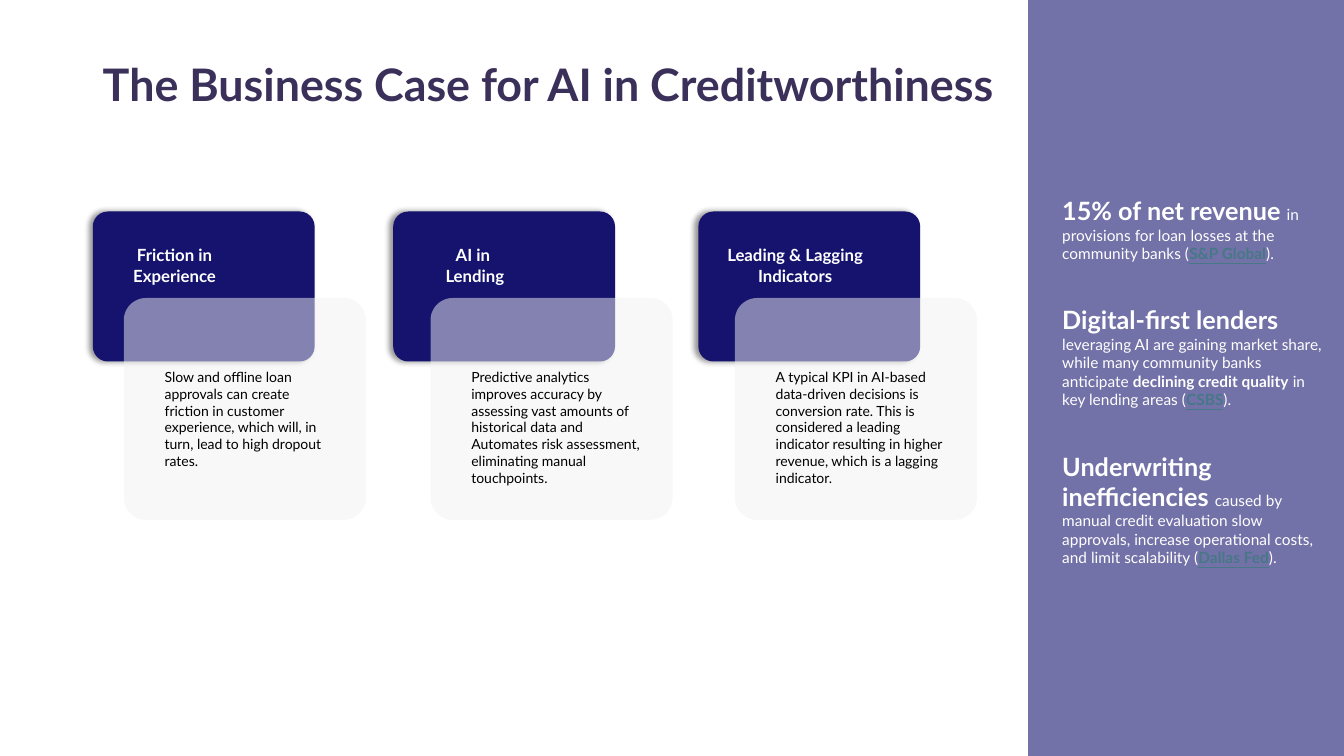
from dataclasses import dataclass

from pptx import Presentation
from pptx.dml.color import RGBColor
from pptx.enum import shapes, text
from pptx.oxml import parse_xml
from pptx.oxml.ns import nsdecls, qn
from pptx.util import Cm, Pt


@dataclass(frozen=True)
class Theme:
    font: str = "Lato"
    title: str = "3B3059"
    navy: str = "15136E"
    panel: str = "F2F2F2"
    white: str = "FFFFFF"
    black: str = "000000"
    link: str = "467886"
    title_size: int = 32
    lead_size: int = 18
    heading_size: int = 12
    note_size: int = 11
    body_size: int = 10


THEME = Theme()

CARDS = [
    (2.34, 3.12, 3.56, ["Friction in Experience"],
     "Slow and offline loan approvals can create friction in customer experience, "
     "which will, in turn, lead to high dropout rates."),
    (9.91, 10.85, 3.56, ["AI in ", "Lending"],
     "Predictive analytics improves accuracy by assessing vast amounts of historical "
     "data and Automates risk assessment, eliminating manual touchpoints."),
    (17.6, 18.52, 4.32, ["Leading & Lagging Indicators"],
     "A typical KPI in AI-based data-driven decisions is conversion rate. This is "
     "considered a leading indicator resulting in higher revenue, which is a lagging "
     "indicator."),
]

FACTS = [
    [("15% of net revenue ", "lead"),
     ("in provisions for loan losses at the community banks (", "note"),
     ("S&P Global", "link"), (").", "note")],
    [("Digital-first lenders ", "lead"),
     ("leveraging AI are gaining market share, while many community banks anticipate ",
      "note"),
     ("declining credit quality", "strong"), (" in key lending areas (", "note"),
     ("CSBS", "link"), (").", "note")],
    [("Underwriting inefficiencies ", "lead"),
     ("caused by manual credit evaluation slow approvals, increase operational costs, "
      "and limit scalability (", "note"),
     ("Dallas Fed", "link"), (").", "note")],
]


def set_font(font, size, color, bold=False):
    font.name = THEME.font
    font.size = Pt(size)
    font.bold = bold
    font.color.rgb = RGBColor.from_string(color)


def add_block(s, kind, left, top, width, height, color, opacity=100, corner=None):
    sp = s.shapes.add_shape(kind, Cm(left), Cm(top), Cm(width), Cm(height))
    sp.shadow.inherit = False
    sp.line.fill.background()
    sp.fill.solid()
    sp.fill.fore_color.rgb = RGBColor.from_string(color)
    if corner is not None:
        sp.adjustments[0] = corner
    if opacity < 100:
        clr = sp.fill._xPr.find(qn("a:solidFill"))[0]
        clr.append(parse_xml(f'<a:alpha {nsdecls("a")} val="{opacity * 1000}"/>'))
    return sp


def add_shadow(sp):
    effects = sp._element.spPr.find(qn("a:effectLst"))
    effects.append(parse_xml(
        f'<a:outerShdw {nsdecls("a")} blurRad="{Pt(4)}" dist="{Pt(3)}" '
        f'dir="{180 * 60000}" algn="r" rotWithShape="0">'
        f'<a:srgbClr val="{THEME.black}"><a:alpha val="40000"/></a:srgbClr>'
        '</a:outerShdw>'))


def add_text(s, left, top, width, height, lines, size, color, bold=False):
    sp = s.shapes.add_textbox(Cm(left), Cm(top), Cm(width), Cm(height))
    tf = sp.text_frame
    tf.word_wrap = True
    for i, line in enumerate(lines):
        p = tf.paragraphs[0] if i == 0 else tf.add_paragraph()
        p.text = line
        set_font(p.font, size, color, bold)
    return tf


def add_title(s, left, top, width, height):
    tf = add_text(s, left, top, width, height,
                  ["The Business Case for AI in Creditworthiness"],
                  THEME.title_size, THEME.title, True)
    tf.vertical_anchor = text.MSO_ANCHOR.MIDDLE
    tf.paragraphs[0].line_spacing = 0.9


def add_sidebar(s, left, top, width, height):
    add_block(s, shapes.MSO_SHAPE.RECTANGLE, left, top, width, height, THEME.navy, 60)
    sp = s.shapes.add_textbox(Cm(left + 0.61), Cm(top + 4.8), Cm(7.11), Cm(9.7))
    tf = sp.text_frame
    tf.word_wrap = True
    tf.auto_size = text.MSO_AUTO_SIZE.SHAPE_TO_FIT_TEXT
    for i, fact in enumerate(FACTS):
        p = tf.paragraphs[0] if i == 0 else tf.add_paragraph()
        p.space_after = Pt(30)
        for words, style in fact:
            r = p.add_run()
            r.text = words
            set_font(r.font,
                     THEME.lead_size if style == "lead" else THEME.note_size,
                     THEME.link if style == "link" else THEME.white,
                     style != "note")
            r.font.underline = style == "link"


def add_card(s, left, top, panel_left, heading_width, heading, body):
    rounded = shapes.MSO_SHAPE.ROUNDED_RECTANGLE
    add_shadow(add_block(s, rounded, left, top, 5.59, 3.78, THEME.navy, corner=0.1))
    tf = add_text(s, left + 0.28, top + 0.53, heading_width, 1.65, heading,
                  THEME.heading_size, THEME.white, True)
    tf.vertical_anchor = text.MSO_ANCHOR.MIDDLE
    for p in tf.paragraphs:
        p.alignment = text.PP_ALIGN.CENTER

    panel_top = top + 2.18
    add_block(s, rounded, panel_left, panel_top, 6.1, 5.59, THEME.panel, 50, 0.1)
    tf = add_text(s, panel_left + 0.52, panel_top + 1.65, 5.08, 3.56, [body],
                  THEME.body_size, THEME.black)
    tf.margin_left = Cm(0.51)
    tf.paragraphs[0].space_after = Pt(12)


def main():
    prs = Presentation()
    prs.slide_width, prs.slide_height = Cm(33.87), Cm(19.05)
    s = prs.slides.add_slide(prs.slide_layouts[6])
    add_title(s, 2.34, 1.02, 29.21, 2.36)
    add_sidebar(s, 25.91, 0, 7.96, 19.05)
    for left, panel_left, heading_width, heading, body in CARDS:
        add_card(s, left, 5.33, panel_left, heading_width, heading, body)
    prs.save("out.pptx")


if __name__ == "__main__":
    main()
